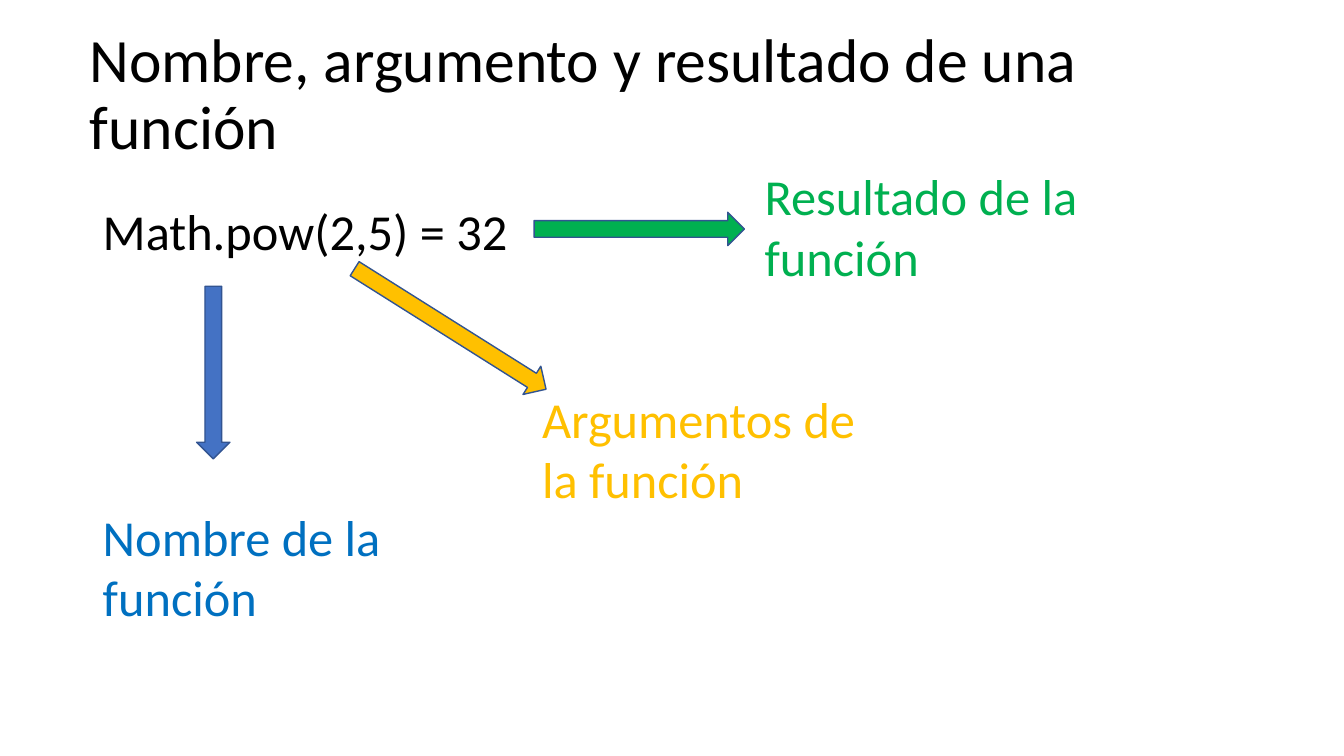
from pptx import Presentation
from pptx.dml.color import RGBColor
from pptx.enum.shapes import MSO_SHAPE
from pptx.enum.text import MSO_ANCHOR, MSO_AUTO_SIZE
from pptx.util import Cm, Pt

BLACK = RGBColor(0x00, 0x00, 0x00)
BLUE_TEXT = RGBColor(0x00, 0x70, 0xC0)
BLUE_ARROW = RGBColor(0x44, 0x72, 0xC4)
AMBER = RGBColor(0xFF, 0xC0, 0x00)
GREEN = RGBColor(0x00, 0xB0, 0x50)
OUTLINE = RGBColor(0x32, 0x54, 0x91)


class FunctionSlide:
    font = "Calibri"
    text_size = 36
    arrow_height = 0.84

    def __init__(self, presentation):
        self.slide = presentation.slides.add_slide(presentation.slide_layouts[6])

    def text(self, words, left, top, width, height, size=text_size, color=BLACK,
             anchor=MSO_ANCHOR.TOP, line_spacing=1.0, space_before=0,
             right_inset=0.25, fit=MSO_AUTO_SIZE.NONE):
        box = self.slide.shapes.add_textbox(Cm(left), Cm(top), Cm(width), Cm(height))
        frame = box.text_frame
        frame.word_wrap = True
        frame.auto_size = fit
        frame.vertical_anchor = anchor
        frame.margin_right = Cm(right_inset)
        paragraph = frame.paragraphs[0]
        paragraph.line_spacing = line_spacing
        paragraph.space_before = Pt(space_before)
        run = paragraph.add_run()
        run.text = words
        run.font.name = self.font
        run.font.size = Pt(size)
        run.font.color.rgb = color

    def label(self, words, left, top, width, color):
        self.text(words, left, top, width, 3.33, color=color,
                  fit=MSO_AUTO_SIZE.SHAPE_TO_FIT_TEXT)

    def arrow(self, left, top, length, color, rotation=0):
        arrow = self.slide.shapes.add_shape(
            MSO_SHAPE.RIGHT_ARROW, Cm(left), Cm(top), Cm(length), Cm(self.arrow_height))
        arrow.rotation = rotation
        arrow.shadow.inherit = False
        arrow.fill.solid()
        arrow.fill.fore_color.rgb = color
        arrow.line.color.rgb = OUTLINE
        arrow.line.width = Pt(1)


def main():
    presentation = Presentation()
    presentation.slide_width = Cm(33.87)
    presentation.slide_height = Cm(19.05)
    page = FunctionSlide(presentation)

    page.text("Nombre, argumento y resultado de una función", 2.01, 0.58, 30.45, 3.68,
              size=44, anchor=MSO_ANCHOR.MIDDLE, line_spacing=0.9, right_inset=1)
    page.text("Math.pow(2,5) = 32", 2.34, 5.08, 29.21, 12.09,
              line_spacing=0.9, space_before=10)

    page.label("Nombre de la función", 2.34, 12.62, 9.27, BLUE_TEXT)
    page.label("Argumentos de la función", 13.41, 9.65, 8.71, AMBER)
    page.arrow(13.46, 5.35, 5.3, GREEN)
    page.arrow(3.2, 8.97, 4.35, BLUE_ARROW, rotation=90)
    page.arrow(8.5, 7.87, 5.7, AMBER, rotation=32.2)
    page.label("Resultado de la función", 19.02, 4.04, 9.6, GREEN)

    presentation.save("out.pptx")


if __name__ == "__main__":
    main()
